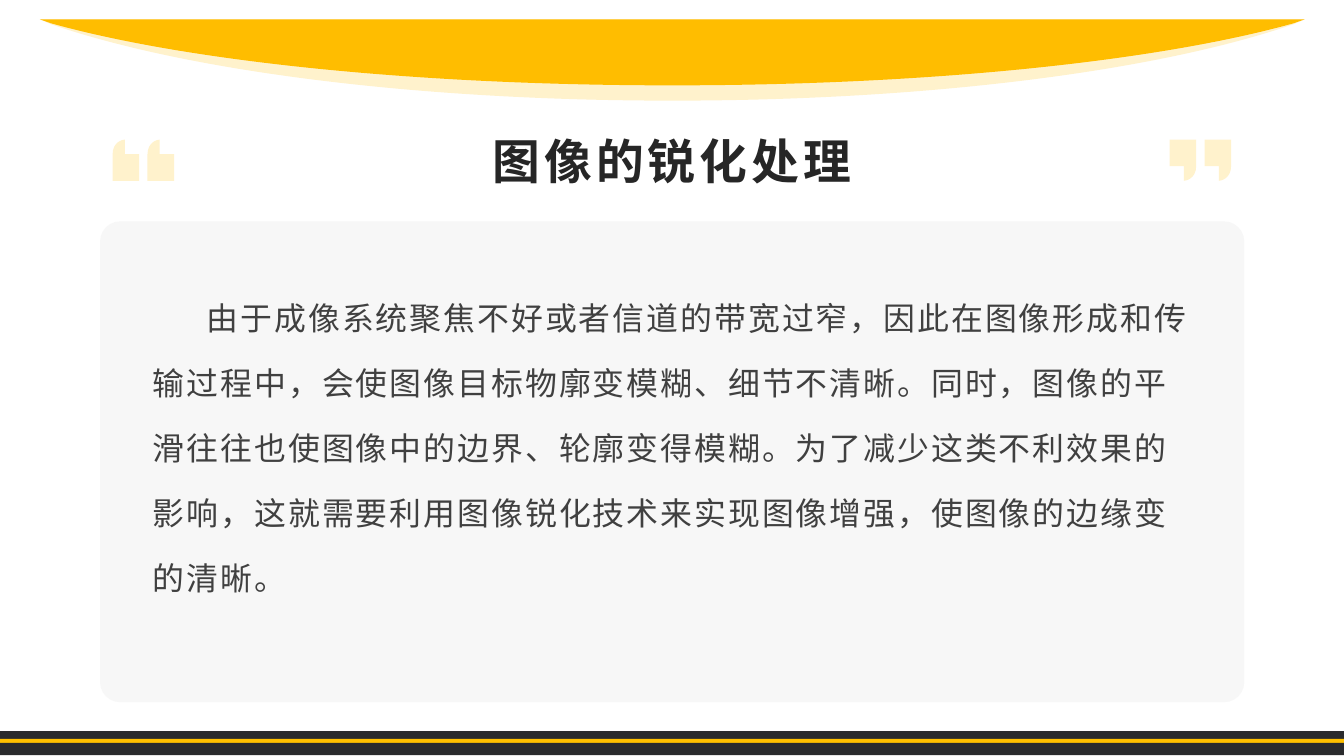
from lxml.etree import SubElement
from pptx import Presentation
from pptx.dml.color import RGBColor
from pptx.enum.shapes import MSO_SHAPE
from pptx.enum.text import MSO_ANCHOR, MSO_AUTO_SIZE, PP_ALIGN
from pptx.oxml.ns import qn
from pptx.util import Pt

RECTANGLE, ROUNDED = MSO_SHAPE.RECTANGLE, MSO_SHAPE.ROUNDED_RECTANGLE
TOP, BOTTOM = MSO_ANCHOR.TOP, MSO_ANCHOR.BOTTOM
CENTER, LEFT = PP_ALIGN.CENTER, PP_ALIGN.LEFT
NO_AUTOFIT = MSO_AUTO_SIZE.NONE

CHARCOAL = RGBColor(0x2A, 0x2B, 0x2D)
GOLD = RGBColor(0xFF, 0xC0, 0x00)
AMBER = RGBColor(0xFF, 0xBD, 0x00)
CREAM = RGBColor(0xFF, 0xF2, 0xCC)
CARD_GREY = RGBColor(0xF2, 0xF2, 0xF2)
TITLE_INK = RGBColor(0x26, 0x26, 0x26)
BODY_INK = RGBColor(0x40, 0x40, 0x40)

WIDTH, HEIGHT = 1012.32, 569.52


def add_outline(shapes, points, curve_starts, color):
    """Add a filled outline; each index in curve_starts opens a Bezier curve.

    The three points from that index on are two controls and an end point.
    """
    lengths = [(Pt(x), Pt(y)) for x, y in points]
    builder = shapes.build_freeform(*lengths[0])
    builder.add_line_segments(lengths[1:], close=True)
    outline = builder.convert_to_shape()
    steps = outline._element.spPr.find(".//" + qn("a:path"))
    for start in sorted(curve_starts, reverse=True):
        first, *others = steps[start:start + 3]
        bend = SubElement(steps, qn("a:cubicBezTo"))
        first.addprevious(bend)
        for line in (first, *others):
            bend.append(line[0])
            steps.remove(line)
    outline.fill.solid()
    outline.fill.fore_color.rgb = color
    outline.line.fill.background()
    outline.shadow.inherit = False


deck = Presentation()
deck.slide_width, deck.slide_height = Pt(WIDTH), Pt(HEIGHT)
page = deck.slides.add_slide(deck.slide_layouts[1])
title, body = page.placeholders[0], page.placeholders[1]

# Footer bands and the card behind the text
panels = [
    (RECTANGLE, 0, 550.8, WIDTH, 6.5, CHARCOAL),
    (RECTANGLE, 0, 556.6, WIDTH, 6.5, GOLD),
    (RECTANGLE, 0, 559.6, WIDTH, 9.4, CHARCOAL),
    (ROUNDED, 75.4, 166.8, 861.8, 362.2, CARD_GREY),
]
for kind, left, top, width, height, color in panels:
    panel = page.shapes.add_shape(kind, Pt(left), Pt(top), Pt(width), Pt(height))
    panel.fill.solid()
    panel.fill.fore_color.rgb = color
    panel.line.fill.background()
    panel.shadow.inherit = False
    if kind == ROUNDED:
        panel.adjustments[0] = 0.042
        card_color = panel._element.spPr.find(".//" + qn("a:srgbClr"))
        SubElement(card_color, qn("a:alpha"), val="60000")

# Quotation marks: opening marks are closing marks turned half round
MARK_TOP, MARK_WIDTH, MARK_HEIGHT = 105.2, 20, 31
closing_mark = [(0, 0), (20, 0), (20, 19.6), (20, 29.5), (12.2, 31), (10.8, 31),
                (10.8, 20), (0, 20)]
opening_mark = [(MARK_WIDTH - x, MARK_HEIGHT - y) for x, y in closing_mark]
for mark, first_left in ((closing_mark, 881), (opening_mark, 84.8)):
    pair = page.shapes.add_group_shape()
    for left in (first_left, first_left + 26.3):
        points = [(left + x, MARK_TOP + y) for x, y in mark]
        add_outline(pair.shapes, points, [3], CREAM)

# Header arcs: the right half is mirrored about the slide's middle
ARC_TOP, MIDDLE = 14.6, 506.4
for depth, color in ((61.2, CREAM), (49.7, AMBER)):
    right_half = [(476.3, 0), (467.8, 0.06 * depth), (366.5, 0.63 * depth),
                  (195, depth), (0, depth)]
    left_half = [(-x, y) for x, y in reversed(right_half[:-1])]
    arc = [(MIDDLE + x, ARC_TOP + y) for x, y in right_half + left_half]
    add_outline(page.shapes, arc, [2, 5], color)

# Title and body text, in front of the card
texts = [
    (title, "图像的锐化处理", (137.5, 85, 737.3, 61.2), BOTTOM, CENTER,
     1.2, 0, "Noto Sans CJK SC", 36, True, TITLE_INK, 300),
    (body, "由于成像系统聚焦不好或者信道的带宽过窄，因此在图像形成和传输过程中，"
     "会使图像目标物廓变模糊、细节不清晰。同时，图像的平滑往往也使图像中的边界、"
     "轮廓变得模糊。为了减少这类不利效果的影响，这就需要利用图像锐化技术来实现"
     "图像增强，使图像的边缘变的清晰。", (108, 201.4, 796.3, 292.3), TOP, LEFT,
     1.7, 40.5, "Arial", 24, False, BODY_INK, 150),
]
for (box, words, place, anchor, align, spacing, indent,
     font_name, size, bold, color, tracking) in texts:
    page.shapes._spTree.append(box._element)
    box.left, box.top, box.width, box.height = map(Pt, place)
    frame = box.text_frame
    frame.text = words
    frame.word_wrap = True
    frame.auto_size = NO_AUTOFIT
    frame.vertical_anchor = anchor
    para = frame.paragraphs[0]
    para.alignment = align
    para.line_spacing = spacing
    para.space_before = Pt(0)
    settings = para._p.get_or_add_pPr()
    settings.set("marL", "0")
    settings.set("indent", str(Pt(indent)))
    SubElement(settings, qn("a:buNone"))
    para.font.size = Pt(size)
    para.font.bold = bold
    para.font.color.rgb = color
    para.font.name = font_name
    defaults = settings.find(qn("a:defRPr"))
    defaults.set("spc", str(tracking))
    SubElement(defaults, qn("a:ea"), typeface=font_name)

deck.save("out.pptx")
